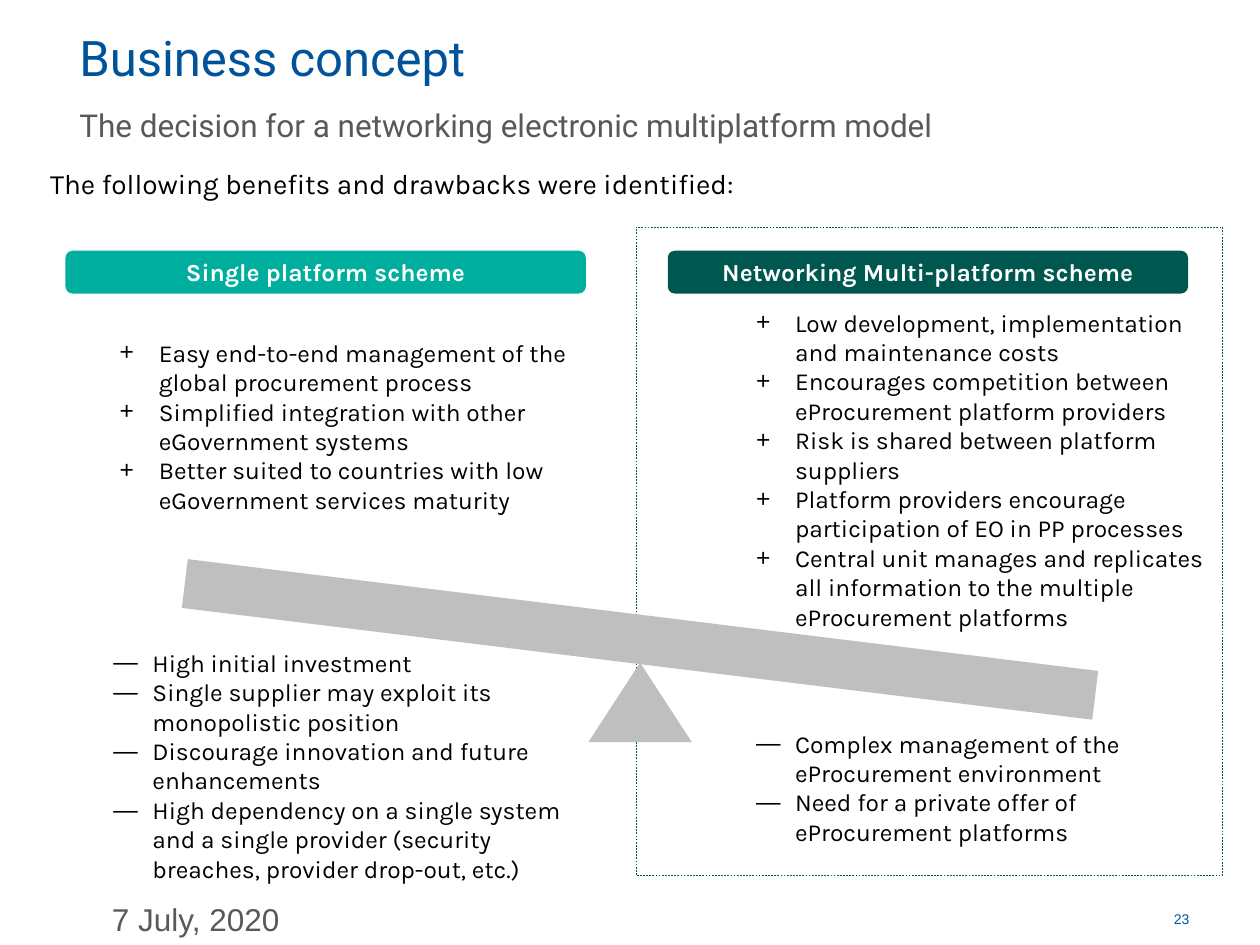
from dataclasses import dataclass

from lxml.etree import SubElement
from pptx import Presentation
from pptx.dml.color import RGBColor
from pptx.enum.dml import MSO_LINE
from pptx.enum.shapes import MSO_SHAPE as Shape
from pptx.enum.text import MSO_ANCHOR as Anchor, PP_ALIGN as Align
from pptx.oxml.ns import qn
from pptx.util import Inches, Pt

BLUE, GREY, BLACK, WHITE = "00539B", "58595B", "000000", "FFFFFF"
TEAL, DARK_TEAL, BEAM_GREY = "00AE9E", "00574F", "BFBFBF"
PAD = (0.04, 0.04, 0.04, 0.04)
DEFAULT_PAD = (0.1, 0.05, 0.1, 0.05)


@dataclass
class Box:
    left: float
    top: float
    width: float
    height: float

    def lengths(self) -> list:
        return [Inches(v) for v in (self.left, self.top, self.width, self.height)]


@dataclass
class Label:
    box: Box
    text: str
    font: str
    size: float
    color: str
    insets: tuple = DEFAULT_PAD
    anchor: Anchor = Anchor.TOP
    align: Align = Align.LEFT


@dataclass
class Arguments:
    box: Box
    bullet: str
    items: list


@dataclass
class Header:
    left: float
    text: str
    color: str


LABELS = [
    Label(Box(9.05, 7.09, 0.39, 0.41), "23", "Arial", 8, BLUE,
          (0, 0, 0, 0), Anchor.MIDDLE, Align.RIGHT),
    Label(Box(0.63, 0.79, 8.43, 0.4),
          "The decision for a networking electronic multiplatform model",
          "Roboto", 18, GREY, (0, 0.05, 0, 0.05)),
    Label(Box(0.63, 0.11, 7.64, 0.68), "Business concept", "Roboto", 28, BLUE,
          (0, 0, 0, 0), Anchor.MIDDLE),
    Label(Box(0.3, 1.27, 9.5, 0.37),
          "The following benefits and drawbacks were identified:",
          "Karla", 16, BLACK),
    Label(Box(0.79, 7.09, 2.05, 0.41), "7 July, 2020", "Arial", 18, GREY),
]

ARGUMENTS = [
    Arguments(Box(0.9, 2.57, 3.89, 1.62), "+", [
        "Easy end-to-end management of the global procurement process",
        "Simplified integration with other eGovernment systems",
        "Better suited to countries with low eGovernment services maturity",
    ]),
    Arguments(Box(0.85, 5.49, 3.89, 1.17), "—", [
        "High initial investment",
        "Single supplier may exploit its monopolistic position",
        "Discourage innovation and future enhancements",
        "High dependency on a single system and a single provider "
        "(security breaches, provider drop-out, etc.)",
    ]),
    Arguments(Box(5.95, 2.45, 3.77, 2.55), "+", [
        "Low development, implementation and maintenance costs",
        "Encourages competition between eProcurement platform providers",
        "Risk is shared between platform suppliers",
        "Platform providers encourage participation of EO in PP processes",
        "Central unit manages and replicates all information to the multiple "
        "eProcurement platforms",
    ]),
    Arguments(Box(5.95, 5.63, 3.77, 1.24), "—", [
        "Complex management of the eProcurement environment",
        "Need for a private offer of eProcurement platforms",
    ]),
]

HEADERS = [
    Header(0.52, "Single platform scheme", TEAL),
    Header(5.3, "Networking Multi-platform scheme", DARK_TEAL),
]


def rgb(value: str) -> RGBColor:
    return RGBColor.from_string(value)


def add_run(p, text: str, font: str, size: float, color: str, bold: bool = False) -> None:
    r = p.add_run()
    r.text = text
    r.font.name, r.font.size, r.font.bold = font, Pt(size), bold
    r.font.color.rgb = rgb(color)


def prepare_frame(sp, insets: tuple, anchor: Anchor):
    """Set wrapping, margins and anchor, and return the text frame."""
    tf = sp.text_frame
    tf.word_wrap = True
    tf.vertical_anchor = anchor
    tf.margin_left, tf.margin_top, tf.margin_right, tf.margin_bottom = map(Inches, insets)
    return tf


def add_label(s, label: Label) -> None:
    sp = s.shapes.add_textbox(*label.box.lengths())
    p = prepare_frame(sp, label.insets, label.anchor).paragraphs[0]
    p.alignment = label.align
    add_run(p, label.text, label.font, label.size, label.color)


def set_bullet(p, char: str) -> None:
    pPr = p._p.get_or_add_pPr()
    pPr.set("marL", str(Inches(0.32)))
    pPr.set("indent", str(Inches(-0.31)))
    SubElement(pPr, qn("a:buFont")).set("typeface", "Arial")
    SubElement(pPr, qn("a:buChar")).set("char", char)


def add_arguments(s, arguments: Arguments) -> None:
    sp = s.shapes.add_textbox(*arguments.box.lengths())
    tf = prepare_frame(sp, PAD, Anchor.MIDDLE)
    for i, item in enumerate(arguments.items):
        p = tf.add_paragraph() if i else tf.paragraphs[0]
        set_bullet(p, arguments.bullet)
        add_run(p, item, "Karla", 14, BLACK)


def add_filled(s, kind: Shape, box: Box, color: str):
    sp = s.shapes.add_shape(kind, *box.lengths())
    sp.shadow.inherit = False
    sp.fill.solid()
    sp.fill.fore_color.rgb = rgb(color)
    sp.line.fill.background()
    return sp


def add_header(s, header: Header) -> None:
    sp = add_filled(s, Shape.ROUNDED_RECTANGLE, Box(header.left, 1.99, 4.13, 0.34),
                    header.color)
    p = prepare_frame(sp, PAD, Anchor.MIDDLE).paragraphs[0]
    p.alignment = Align.CENTER
    add_run(p, header.text, "Karla", 14, WHITE, bold=True)


def add_highlight(s) -> None:
    """Frame the chosen scheme with a thin dashed outline."""
    sp = s.shapes.add_shape(Shape.RECTANGLE, *Box(5.05, 1.8, 4.65, 5.15).lengths())
    sp.shadow.inherit = False
    sp.fill.background()
    sp.line.color.rgb = rgb(DARK_TEAL)
    sp.line.width = Pt(0.25)
    sp.line.dash_style = MSO_LINE.DASH


def add_seesaw(s) -> None:
    add_filled(s, Shape.ISOSCELES_TRIANGLE, Box(4.67, 5.26, 0.82, 0.63), BEAM_GREY)
    beam = add_filled(s, Shape.RECTANGLE, Box(1.44, 4.88, 7.28, 0.39), BEAM_GREY)
    beam.rotation = 7


def main() -> None:
    prs = Presentation()
    prs.slide_width, prs.slide_height = Inches(10), Inches(7.5)
    s = prs.slides.add_slide(prs.slide_layouts[6])
    for label in LABELS:
        add_label(s, label)
    add_highlight(s)
    add_seesaw(s)
    for arguments in ARGUMENTS:
        add_arguments(s, arguments)
    for header in HEADERS:
        add_header(s, header)
    prs.save("out.pptx")


if __name__ == "__main__":
    main()
